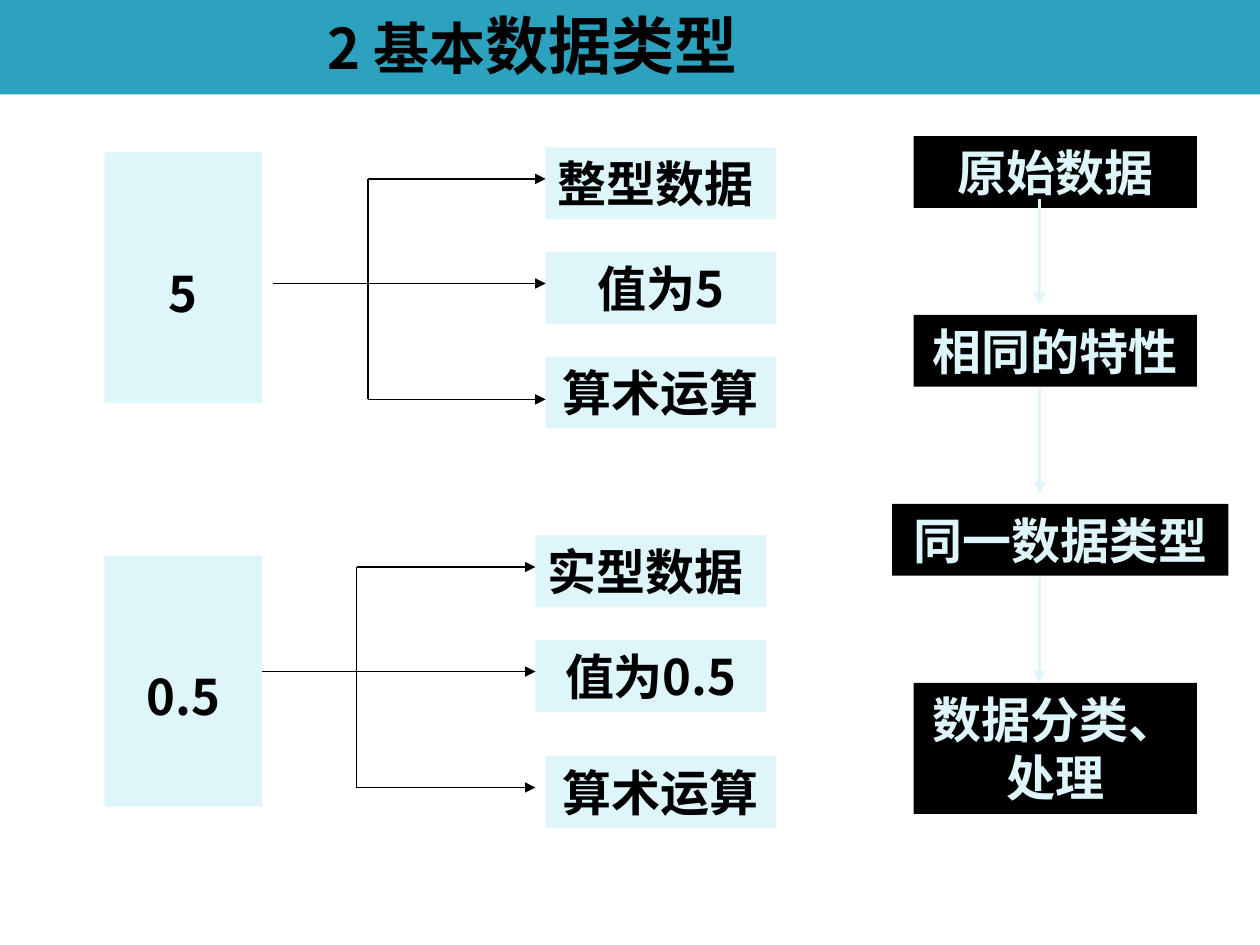
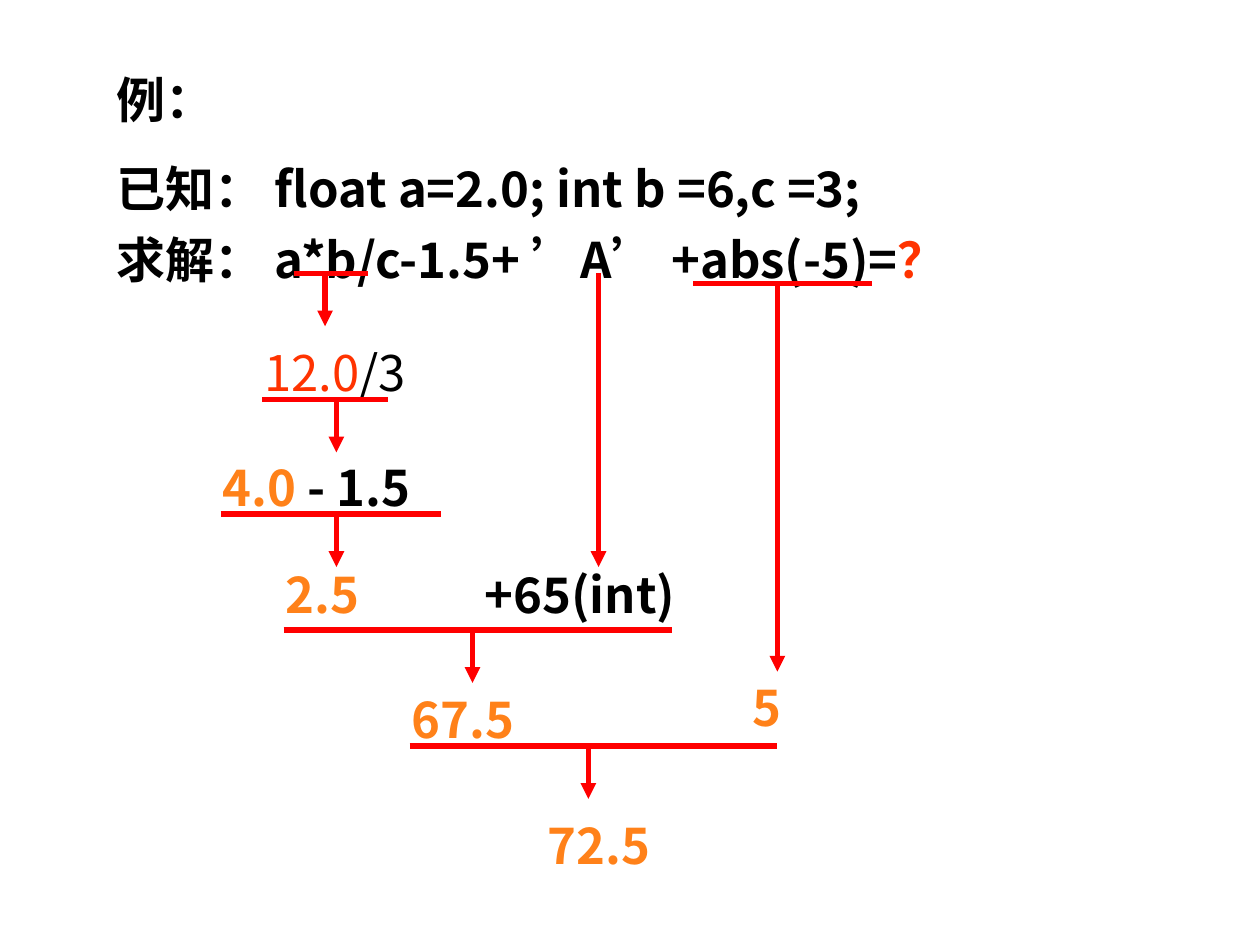
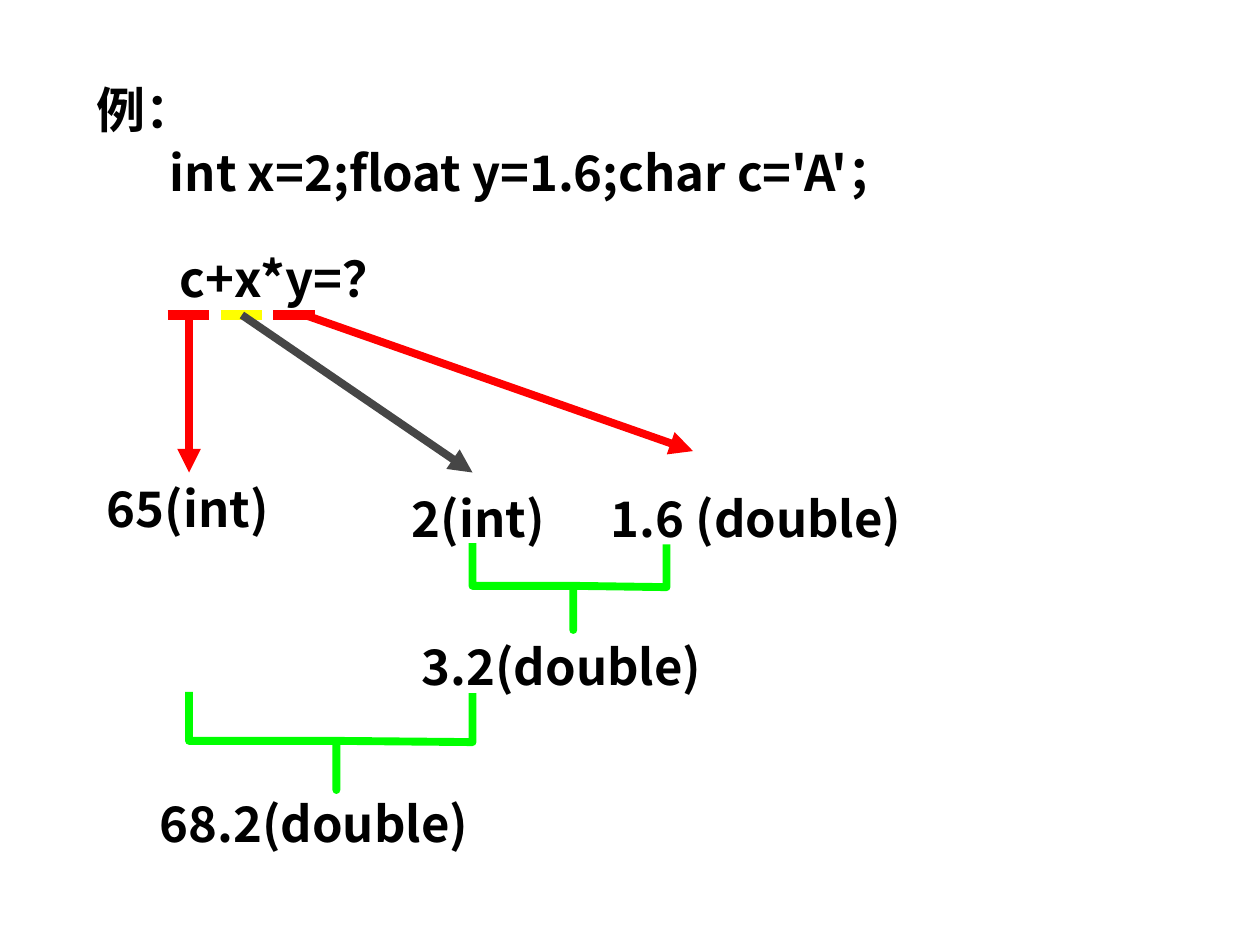
from dataclasses import dataclass
from typing import Optional

from lxml.etree import SubElement
from pptx import Presentation
from pptx.dml.color import RGBColor
from pptx.enum.shapes import MSO_CONNECTOR, MSO_SHAPE
from pptx.enum.text import MSO_ANCHOR, MSO_AUTO_SIZE, PP_ALIGN
from pptx.oxml.ns import qn
from pptx.presentation import Presentation as PresentationType
from pptx.shapes.autoshape import Shape
from pptx.slide import Slide
from pptx.text.text import TextFrame
from pptx.util import Inches, Pt


@dataclass(frozen=True)
class Theme:
    band: str = "2DA2BF"
    pale: str = "DEF5FA"
    black: str = "000000"
    red: str = "FF0000"
    question: str = "FF3300"
    result: str = "FF8119"
    yellow: str = "FFFF00"
    gray: str = "464646"
    green: str = "00FF00"
    font: str = "Noto Sans CJK SC"
    code_font: str = "Courier New"
    title_size: int = 36
    title_lead_size: int = 32
    body_size: int = 28
    hairline: float = 0.75
    flow_line: float = 2.25
    step_line: float = 3
    pointer_line: float = 4.5
    marker_line: float = 6


THEME = Theme()
ROW_HEIGHT = 0.57
LEFT, CENTER = PP_ALIGN.LEFT, PP_ALIGN.CENTER


@dataclass(frozen=True)
class Span:
    text: str
    color: str = THEME.black
    size: int = THEME.body_size
    bold: bool = True
    font: str = THEME.font


@dataclass(frozen=True)
class Label:
    left: float
    top: float
    width: float
    spans: tuple[Span, ...]
    align: PP_ALIGN = LEFT
    fill: Optional[str] = None
    height: float = ROW_HEIGHT


@dataclass(frozen=True)
class Branch:
    start: float
    spine: float
    tip: float
    rows: tuple[float, float, float]


@dataclass(frozen=True)
class Step:
    left: float
    right: float
    top: float
    stem: float
    drop: float = 0.42


@dataclass(frozen=True)
class Pointer:
    marker_left: float
    marker_color: str
    start: float
    tip: tuple[float, float]
    color: str


@dataclass(frozen=True)
class Bracket:
    left: float
    stem: float
    right: float
    top: float
    bar: float
    bottom: float


def color_of(value: str) -> RGBColor:
    return RGBColor.from_string(value)


def write_spans(text_frame: TextFrame, lines: list[tuple[Span, ...]],
                align: PP_ALIGN = LEFT, spacing: tuple[float, ...] = (0,)) -> None:
    text_frame.word_wrap = True
    text_frame.auto_size = MSO_AUTO_SIZE.NONE
    text_frame.vertical_anchor = MSO_ANCHOR.TOP
    for index, spans in enumerate(lines):
        paragraph = text_frame.paragraphs[0] if index == 0 else text_frame.add_paragraph()
        paragraph.alignment = align
        paragraph.space_before = Pt(spacing[index])
        for span in spans:
            run = paragraph.add_run()
            run.text = span.text
            run.font.size = Pt(span.size)
            run.font.bold = span.bold
            run.font.color.rgb = color_of(span.color)
            run.font.name = span.font
            east_asian = SubElement(run.font._element, qn("a:ea"))
            east_asian.set("typeface", THEME.font)


def add_rectangle(slide: Slide, left: float, top: float, width: float,
                  height: float, fill: str) -> Shape:
    shape = slide.shapes.add_shape(MSO_SHAPE.RECTANGLE, Inches(left), Inches(top),
                                   Inches(width), Inches(height))
    shape.shadow.inherit = False
    shape.fill.solid()
    shape.fill.fore_color.rgb = color_of(fill)
    shape.line.fill.background()
    return shape


def add_label(slide: Slide, label: Label) -> Shape:
    if label.fill:
        shape = add_rectangle(slide, label.left, label.top, label.width,
                              label.height, label.fill)
    else:
        shape = slide.shapes.add_textbox(Inches(label.left), Inches(label.top),
                                         Inches(label.width), Inches(label.height))
    write_spans(shape.text_frame, [label.spans], label.align)
    return shape


def add_line(slide: Slide, start: tuple[float, float], end: tuple[float, float],
             color: str, width: float, arrow: bool = False) -> None:
    connector = slide.shapes.add_connector(MSO_CONNECTOR.STRAIGHT, *map(Inches, start + end))
    connector.line.color.rgb = color_of(color)
    connector.line.width = Pt(width)
    if arrow:
        SubElement(connector.line._get_or_add_ln(), qn("a:tailEnd")).set("type", "triangle")
    SubElement(connector.element.spPr, qn("a:effectLst"))


def add_value_box(slide: Slide, text: str, top: float) -> None:
    shape = add_label(slide, Label(0.83, top, 1.25, (Span(text),), CENTER, THEME.pale, 1.99))
    shape.text_frame.vertical_anchor = MSO_ANCHOR.MIDDLE
    shape.text_frame.margin_top = Inches(0.29)


def add_branch(slide: Slide, branch: Branch) -> None:
    first, middle, last = branch.rows
    add_line(slide, (branch.start, middle), (branch.spine, middle), THEME.black, THEME.hairline)
    add_line(slide, (branch.spine, first), (branch.spine, last), THEME.black, THEME.hairline)
    for row in branch.rows:
        add_line(slide, (branch.spine, row), (branch.tip, row),
                 THEME.black, THEME.hairline, arrow=True)


def add_step(slide: Slide, step: Step) -> None:
    add_line(slide, (step.left, step.top), (step.right, step.top), THEME.red, THEME.step_line)
    add_line(slide, (step.stem, step.top), (step.stem, step.top + step.drop),
             THEME.red, THEME.step_line, arrow=True)


def add_pointer(slide: Slide, pointer: Pointer) -> None:
    row = 2.5
    add_line(slide, (pointer.marker_left, row), (pointer.marker_left + 0.33, row),
             pointer.marker_color, THEME.marker_line)
    add_line(slide, (pointer.start, row), pointer.tip,
             pointer.color, THEME.pointer_line, arrow=True)


def add_bracket(slide: Slide, bracket: Bracket) -> None:
    joint = (bracket.stem, bracket.bar)
    points = [(bracket.left, bracket.bar), joint, (bracket.stem, bracket.bottom), joint,
              (bracket.right, bracket.bar + 0.01), (bracket.right, bracket.top + 0.01)]
    builder = slide.shapes.build_freeform(Inches(bracket.left), Inches(bracket.top))
    builder.add_line_segments([(Inches(x), Inches(y)) for x, y in points], close=False)
    shape = builder.convert_to_shape()
    shape.shadow.inherit = False
    shape.fill.background()
    shape.line.color.rgb = color_of(THEME.green)
    shape.line.width = Pt(THEME.pointer_line)


def build_data_types(presentation: PresentationType) -> None:
    slide = presentation.slides.add_slide(presentation.slide_layouts[5])
    band = add_rectangle(slide, 0, 0, 10, 0.75, THEME.band)
    title = slide.shapes.title
    band.element.addnext(title.element)
    title.left, title.top, title.width, title.height = map(Inches, (2.5, 0, 5.58, 0.7))
    write_spans(title.text_frame, [(Span("2 基本", size=THEME.title_lead_size),
                                    Span("数据类型", size=THEME.title_size))])

    for text, top in (("5", 1.21), ("0.5", 4.41)):
        add_value_box(slide, text, top)
    properties = (
        ("整型数据", 4.33, 1.17, LEFT), ("值为5", 4.33, 2, CENTER),
        ("算术运算", 4.33, 2.83, CENTER), ("实型数据", 4.25, 4.25, LEFT),
        ("值为0.5", 4.25, 5.08, CENTER), ("算术运算", 4.33, 6, CENTER),
    )
    for text, left, top, align in properties:
        add_label(slide, Label(left, top, 1.83, (Span(text),), align, THEME.pale))
    for branch in (Branch(2.17, 2.92, 4.33, (1.42, 2.25, 3.17)),
                   Branch(2.08, 2.83, 4.25, (4.5, 5.33, 6.25))):
        add_branch(slide, branch)

    stages = (
        ("原始数据", 7.25, 1.08, 2.25, ROW_HEIGHT), ("相同的特性", 7.25, 2.5, 2.25, ROW_HEIGHT),
        ("同一数据类型", 7.08, 4, 2.67, ROW_HEIGHT), ("数据分类、处理", 7.25, 5.42, 2.25, 1.04),
    )
    for text, left, top, width, height in stages:
        add_label(slide, Label(left, top, width, (Span(text, THEME.pale),),
                               CENTER, THEME.black, height))
    for top in (1.58, 3.08, 4.58):
        add_line(slide, (8.25, top), (8.25, top + 0.84),
                 THEME.pale, THEME.flow_line, arrow=True)


def build_expression(presentation: PresentationType) -> None:
    slide = presentation.slides.add_slide(presentation.slide_layouts[6])
    problem = slide.shapes.add_textbox(Inches(0.83), Inches(0.5), Inches(8.58), Inches(1.84))
    write_spans(problem.text_frame, [
        (Span("例："),),
        (Span("已知： float a=2.0; int b =6,c =3;"),),
        (Span("求解： a*b/c-1.5+ "), Span("’", font=THEME.code_font), Span("A"),
         Span("’ ", font=THEME.code_font), Span("+abs(-5)="), Span("？", THEME.question)),
    ], spacing=(0, 17.5, 7))

    labels = (
        Label(2, 2.67, 1.75, (Span("12.0", THEME.question, bold=False), Span("/3", bold=False))),
        Label(1.67, 3.58, 2.08, (Span("4.0", THEME.result), Span(" - 1.5"))),
        Label(2.17, 4.43, 1.17, (Span("2.5", THEME.result),)),
        Label(3.75, 4.43, 2.17, (Span("+65(int)"),)),
        Label(3.17, 5.42, 1.17, (Span("67.5", THEME.result),)),
        Label(5.5, 5.33, 1.17, (Span("5", THEME.result),), CENTER),
        Label(4.17, 6.42, 1.17, (Span("72.5", THEME.result),), CENTER),
    )
    for label in labels:
        add_label(slide, label)
    steps = (
        Step(2.33, 2.92, 2.17, 2.58), Step(2.08, 3.08, 3.17, 2.67),
        Step(1.75, 3.5, 4.08, 2.67), Step(2.25, 5.33, 5, 3.75),
        Step(5.5, 6.92, 2.25, 6.17, 3.08), Step(3.25, 6.17, 5.92, 4.67),
    )
    for step in steps:
        add_step(slide, step)
    add_line(slide, (4.75, 2.17), (4.75, 4.5), THEME.red, THEME.step_line, arrow=True)


def build_conversion(presentation: PresentationType) -> None:
    slide = presentation.slides.add_slide(presentation.slide_layouts[6])
    labels = (
        ("例：", 0.67, 0.58, 2.58), ("int x=2;float y=1.6;char c='A'；", 1.25, 1.08, 7.92),
        ("c+x*y=？", 1.33, 1.92, 2.08), ("65(int)", 0.75, 3.75, 1.92),
        ("2(int)", 3.17, 3.83, 1.92), ("1.6 (double)", 4.75, 3.83, 3.67),
        ("3.2(double)", 3.25, 5, 3.67), ("68.2(double)", 1.17, 6.25, 3.67),
    )
    for text, left, top, width in labels:
        add_label(slide, Label(left, top, width, (Span(text),)))
    for pointer in (Pointer(1.33, THEME.red, 1.5, (1.5, 3.75), THEME.red),
                    Pointer(1.75, THEME.yellow, 1.92, (3.75, 3.75), THEME.gray),
                    Pointer(2.17, THEME.red, 2.42, (5.5, 3.58), THEME.red)):
        add_pointer(slide, pointer)
    for bracket in (Bracket(3.75, 4.55, 5.29, 4.31, 4.65, 5),
                    Bracket(1.5, 2.67, 3.75, 5.49, 5.88, 6.27)):
        add_bracket(slide, bracket)


def main() -> None:
    presentation = Presentation()
    presentation.slide_width = Inches(10)
    presentation.slide_height = Inches(7.5)
    build_data_types(presentation)
    build_expression(presentation)
    build_conversion(presentation)
    presentation.save("out.pptx")


if __name__ == "__main__":
    main()
